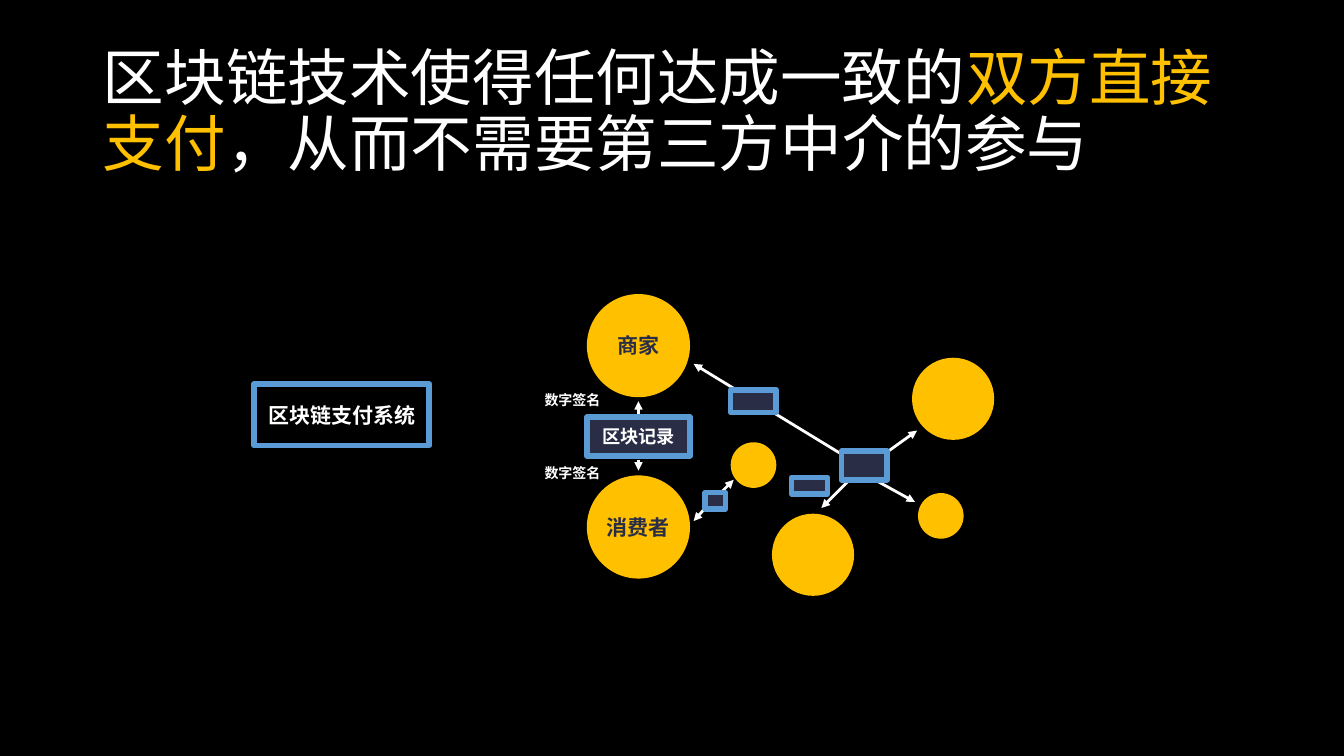
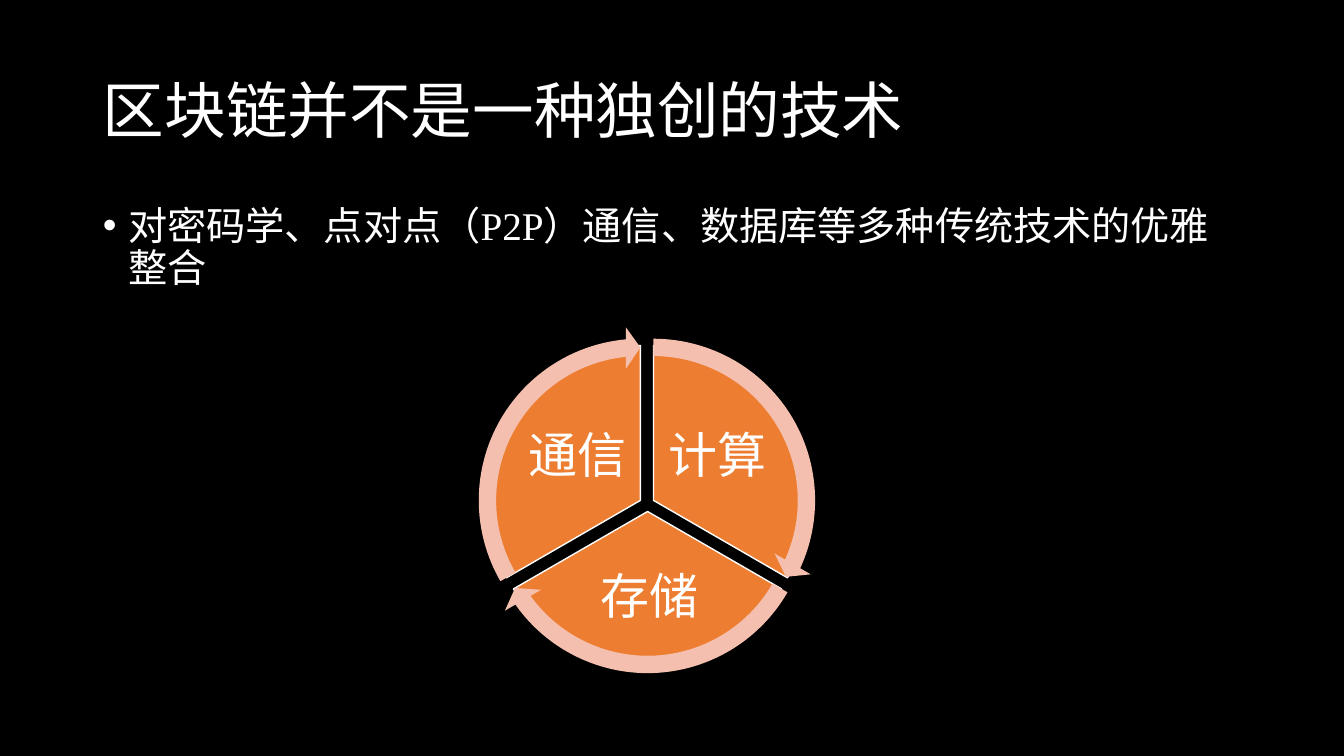
"""Build two slides on direct blockchain payment and the technologies behind it."""
from dataclasses import dataclass

from lxml import etree
from pptx import Presentation
from pptx.dml.color import RGBColor
from pptx.enum.lang import MSO_LANGUAGE_ID
from pptx.enum.shapes import MSO_CONNECTOR, MSO_SHAPE
from pptx.enum.text import MSO_ANCHOR, MSO_AUTO_SIZE, PP_ALIGN
from pptx.oxml.ns import qn
from pptx.util import Cm, Pt

RECT, OVAL = MSO_SHAPE.RECTANGLE, MSO_SHAPE.OVAL
PIE, ARC_ARROW = MSO_SHAPE.PIE, MSO_SHAPE.CIRCULAR_ARROW
STRAIGHT = MSO_CONNECTOR.STRAIGHT
LEFT, CENTER = PP_ALIGN.LEFT, PP_ALIGN.CENTER
TOP, MIDDLE = MSO_ANCHOR.TOP, MSO_ANCHOR.MIDDLE
NO_FIT = MSO_AUTO_SIZE.NONE
CHINESE = MSO_LANGUAGE_ID.SIMPLIFIED_CHINESE

COLORS = {
    "black": "000000", "white": "FFFFFF", "gold": "FFC000", "navy": "292D46",
    "blue": "5B9BD5", "orange": "ED7D31", "peach": "F4BFAE",
}
TITLE_FONT, BODY_FONT, LABEL_FONT = "Noto Sans CJK SC", "Times New Roman", "Calibri"
TITLE_BOX = (2.34, 1.02, 29.2, 3.68)
BODY_BOX = (2.34, 5.08, 29.2, 4.52)
PIE_SIZE, ARROW_SIZE = 7.8, 8.76
SECTOR_ANGLE, FULL_ANGLE = 72, 216


@dataclass
class Node:
    """A circle or box given by its centre."""
    x: float
    y: float
    w: float
    h: float
    text: str = ""
    size: int = 15
    fill: str = "navy"


@dataclass
class Arrow:
    """A straight arrow between two points."""
    x1: float
    y1: float
    x2: float
    y2: float


@dataclass
class Sector:
    """A pie sector with its label box."""
    text: str
    x: float
    y: float
    start: int
    label: tuple[float, float, float, float]


CIRCLES = [
    Node(16.09, 8.71, 2.6, 2.6, "商家"),
    Node(16.09, 13.28, 2.6, 2.6, "消费者"),
    Node(24.02, 10.05, 2.07, 2.07),
    Node(23.71, 13, 1.15, 1.15),
    Node(18.99, 11.72, 1.15, 1.15),
    Node(20.49, 13.98, 2.07, 2.07),
]
ARROWS = [
    Arrow(16.09, 10.44, 16.09, 10.11),
    Arrow(16.09, 11.58, 16.09, 11.86),
    Arrow(22.1, 12.12, 23.06, 12.65),
    Arrow(21.49, 12.01, 20.7, 12.8),
    Arrow(22.05, 11.61, 23.11, 10.85),
    Arrow(18.21, 12.37, 18.49, 12.09),
    Arrow(17.73, 12.85, 17.48, 13.13),
    Arrow(21.89, 11.86, 17.48, 9.17),
]
BOXES = [
    Node(8.61, 10.45, 4.42, 1.55, "区块链支付系统", fill="black"),
    Node(16.09, 11, 2.6, 0.97, "区块记录", 13),
    Node(18.03, 12.62, 0.51, 0.41),
    Node(18.99, 10.11, 1.15, 0.57),
    Node(21.78, 11.73, 1.15, 0.72),
    Node(20.4, 12.24, 0.91, 0.41),
]
SIGNATURE_TOPS = (9.8, 11.63)
SECTORS = [
    Sector("计算", 12.57, 8.71, 162, (16.69, 10.39, 2.79, 2.31)),
    Sector("存储", 12.42, 8.99, 18, (14.27, 14.07, 4.19, 2.03)),
    Sector("通信", 12.24, 8.71, 90, (13.16, 10.39, 2.79, 2.31)),
]


def rgb(name: str) -> RGBColor:
    return RGBColor.from_string(COLORS[name])


def style_run(r, font: str, size: int, color: str, bold: bool = False) -> None:
    r.font.name = font
    r.font.size = Pt(size)
    r.font.bold = bold
    r.font.color.rgb = rgb(color)
    r.font.language_id = CHINESE


def fill_placeholder(sp, box, parts, font: str, size: int, anchor) -> None:
    sp.left, sp.top, sp.width, sp.height = map(Cm, box)
    tf = sp.text_frame
    tf.auto_size = NO_FIT
    tf.vertical_anchor = anchor
    p = tf.paragraphs[0]
    p.alignment = LEFT
    p.line_spacing = 0.9
    p.space_before = Pt(0)
    for text, color in parts:
        r = p.add_run()
        r.text = text
        style_run(r, font, size, color)


def add_titled_slide(prs, layout: int, parts):
    s = prs.slides.add_slide(prs.slide_layouts[layout])
    fill_placeholder(s.shapes.title, TITLE_BOX, parts, TITLE_FONT, 44, MIDDLE)
    return s


def set_label(sp, text: str, size: int, color: str, inset: float = 0.08,
              bold: bool = True, wrap: bool = False) -> None:
    tf = sp.text_frame
    tf.margin_left = tf.margin_right = tf.margin_top = tf.margin_bottom = Cm(inset)
    tf.word_wrap = wrap
    tf.vertical_anchor = MIDDLE
    p = tf.paragraphs[0]
    p.text = text
    p.alignment = CENTER
    style_run(p.runs[0], LABEL_FONT, size, color, bold)


def add_shape(s, kind, box, fill: str, line: str = "", width: float = 1):
    sp = s.shapes.add_shape(kind, *map(Cm, box))
    sp.shadow.inherit = False
    sp.fill.solid()
    sp.fill.fore_color.rgb = rgb(fill)
    if line:
        sp.line.color.rgb = rgb(line)
        sp.line.width = Pt(width)
    else:
        sp.line.fill.background()
    return sp


def add_node(s, n: Node, kind, fill: str, line: str, text_color: str) -> None:
    box = (n.x - n.w / 2, n.y - n.h / 2, n.w, n.h)
    sp = add_shape(s, kind, box, fill, line, 4)
    if n.text:
        set_label(sp, n.text, n.size, text_color)


def add_arrow(s, a: Arrow) -> None:
    c = s.shapes.add_connector(STRAIGHT, Cm(a.x1), Cm(a.y1), Cm(a.x2), Cm(a.y2))
    c.line.color.rgb = rgb("white")
    c.line.width = Pt(2)
    etree.SubElement(c.line._get_or_add_ln(), qn("a:tailEnd"), type="triangle")
    etree.SubElement(c._element.spPr, qn("a:effectLst"))


def set_adjustments(sp, values) -> None:
    for i, value in enumerate(values):
        sp.adjustments[i] = value


def add_sector(s, sec: Sector) -> None:
    sp = add_shape(s, PIE, (sec.x, sec.y, PIE_SIZE, PIE_SIZE), "orange", "white")
    set_adjustments(sp, (sec.start, (sec.start + SECTOR_ANGLE) % FULL_ANGLE))
    tb = s.shapes.add_textbox(*map(Cm, sec.label))
    set_label(tb, sec.text, 35, "white", 0.13, bold=False, wrap=True)
    tb.text_frame.paragraphs[0].line_spacing = 0.9


def add_sector_arrow(s, sec: Sector) -> None:
    shift = (ARROW_SIZE - PIE_SIZE) / 2
    box = (sec.x - shift, sec.y - shift, ARROW_SIZE, ARROW_SIZE)
    sp = add_shape(s, ARC_ARROW, box, "peach")
    end = (sec.start + SECTOR_ANGLE) % FULL_ANGLE - 3.28
    set_adjustments(sp, (0.05, 3.28, end, sec.start, 0.06))


def build_payment_slide(prs) -> None:
    s = add_titled_slide(prs, 5, [
        ("区块链技术使得任何达成一致的", "white"),
        ("双方直接支付", "gold"),
        ("，从而不需要第三方中介的参与", "white"),
    ])
    for n in CIRCLES:
        add_node(s, n, OVAL, "gold", "", "navy")
    for a in ARROWS:
        add_arrow(s, a)
    for n in BOXES:
        add_node(s, n, RECT, n.fill, "blue", "white")
    for top in SIGNATURE_TOPS:
        tb = s.shapes.add_textbox(Cm(13.64), Cm(top), Cm(1.57), Cm(0.56))
        set_label(tb, "数字签名", 10, "white")


def build_technology_slide(prs) -> None:
    s = add_titled_slide(prs, 1, [("区块链并不是一种独创的技术", "white")])
    body = s.placeholders[1]
    pPr = body.text_frame.paragraphs[0]._p.get_or_add_pPr()
    pPr.set("marL", str(Cm(0.64)))
    pPr.set("indent", str(-Cm(0.64)))
    etree.SubElement(pPr, qn("a:buFont"), typeface="Arial")
    etree.SubElement(pPr, qn("a:buChar"), char="•")
    text = "对密码学、点对点（P2P）通信、数据库等多种传统技术的优雅整合"
    fill_placeholder(body, BODY_BOX, [(text, "white")], BODY_FONT, 28, TOP)
    for sec in SECTORS:
        add_sector(s, sec)
    for sec in SECTORS:
        add_sector_arrow(s, sec)


def main() -> None:
    prs = Presentation()
    prs.slide_width, prs.slide_height = Cm(33.87), Cm(19.05)
    bg = prs.slide_master.background.fill
    bg.solid()
    bg.fore_color.rgb = rgb("black")
    build_payment_slide(prs)
    build_technology_slide(prs)
    prs.save("out.pptx")


if __name__ == "__main__":
    main()
